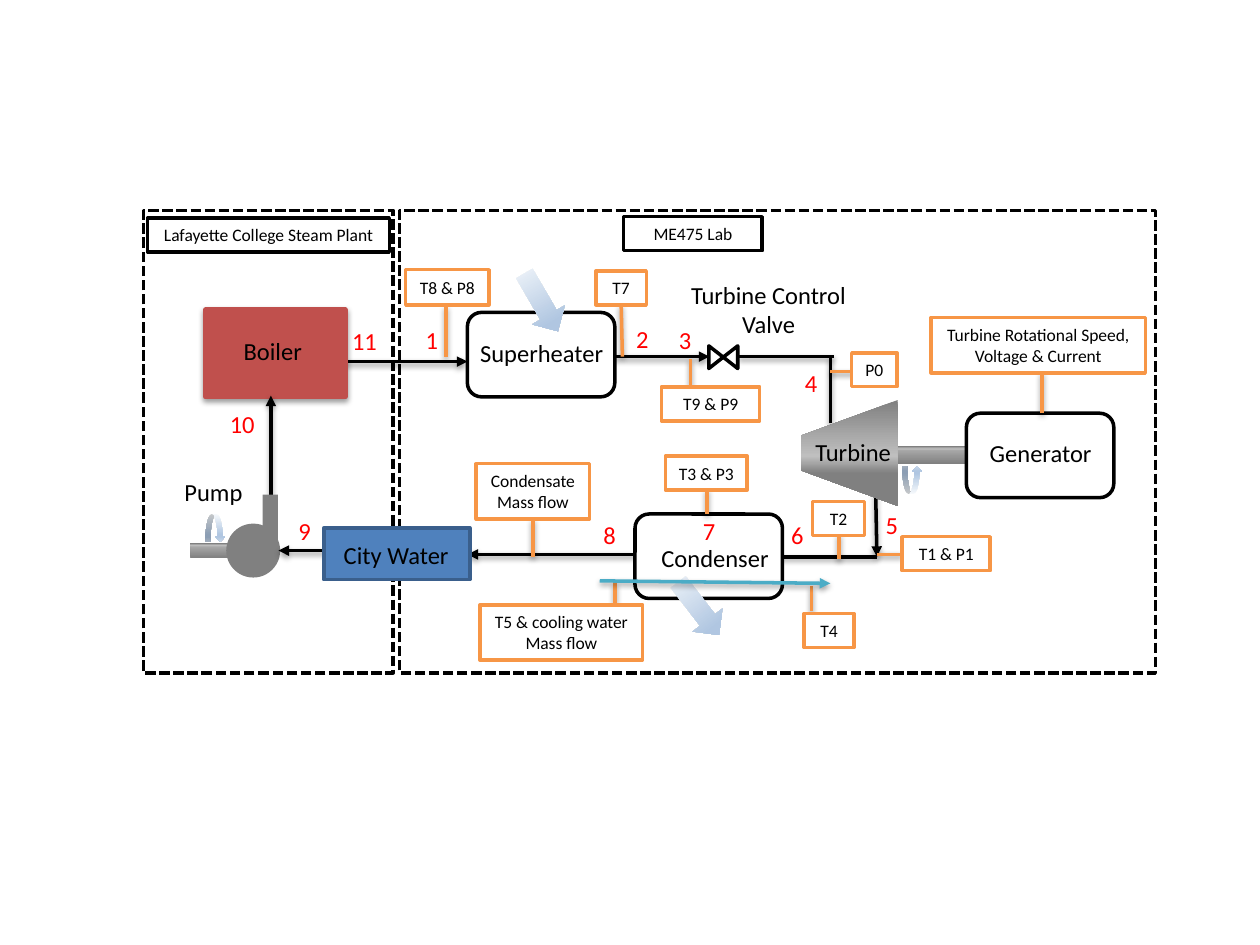
"""Build a one-slide schematic of a steam power plant with its sensors."""
from lxml import etree
from pptx import Presentation
from pptx.dml.color import RGBColor
from pptx.enum.dml import MSO_LINE
from pptx.enum.shapes import MSO_CONNECTOR, MSO_SHAPE
from pptx.enum.text import MSO_ANCHOR, PP_ALIGN
from pptx.oxml import parse_xml
from pptx.oxml.ns import qn
from pptx.util import Inches, Pt

COLORS = {"black": "000000", "white": "FFFFFF", "sensor": "F79646", "state": "FF0000",
          "coolant": "4BACC6", "boiler": "C0504D", "water": "4F81BD",
          "water_edge": "3A5F8C", "steel": "808080"}
SHAFT = ([(0, "808080"), (74, "A6A6A6"), (83, "BFBFBF"), (100, "808080")], 90)
CASING = ([(0, "808080"), (53, "BFBFBF"), (69, "808080"), (100, "808080")], 180)
ICE = [(0, "F6F9FC"), (74, "B0C6E1"), (83, "B0C6E1"), (100, "CAD9EB")]
HEAT, SPIN = (ICE, 0), (ICE, 90)
SHADOW = (
    '<a:effectLst xmlns:a="http://schemas.openxmlformats.org/drawingml/2006/main">'
    '<a:outerShdw blurRad="40000" dist="20000" dir="5400000" rotWithShape="0">'
    '<a:srgbClr val="000000"><a:alpha val="38000"/></a:srgbClr>'
    '</a:outerShdw></a:effectLst>')

prs = Presentation()
prs.slide_width, prs.slide_height = Inches(10), Inches(7.5)
slide = prs.slides.add_slide(prs.slide_layouts[6])


def add_part(at, kind=None, fill=None, edge=None, text="", size=10,
             color="black", align=PP_ALIGN.CENTER, rotation=0, weight=2):
    """Add a preset shape, or a text box when no kind is given."""
    frame = [Inches(value) for value in at]
    if kind is None:
        part = slide.shapes.add_textbox(*frame)
    else:
        part = slide.shapes.add_shape(kind, *frame)
        part.shadow.inherit = False
        part.rotation = rotation
        if isinstance(fill, tuple):
            stops, angle = fill
            part.fill.gradient()
            gradient = part._element.spPr.find(qn("a:gradFill"))
            stop_list = gradient.find(qn("a:gsLst"))
            for old_stop in list(stop_list):
                stop_list.remove(old_stop)
            for position, tint in stops:
                stop = etree.SubElement(stop_list, qn("a:gs"), pos=str(position * 1000))
                etree.SubElement(stop, qn("a:srgbClr"), val=tint)
            gradient.find(qn("a:lin")).set("ang", str(angle * 60000))
        elif fill:
            part.fill.solid()
            part.fill.fore_color.rgb = RGBColor.from_string(COLORS[fill])
        else:
            part.fill.background()
        if edge:
            part.line.color.rgb = RGBColor.from_string(COLORS[edge])
            part.line.width = Pt(weight)
        else:
            part.line.fill.background()
    if text:
        part.text_frame.word_wrap = True
        part.text_frame.vertical_anchor = MSO_ANCHOR.MIDDLE if kind else MSO_ANCHOR.TOP
        part.text_frame.text = text
        for paragraph in part.text_frame.paragraphs:
            paragraph.alignment = align
            for run in paragraph.runs:
                for name, value in {"name": "Calibri", "size": Pt(size)}.items():
                    setattr(run.font, name, value)
                run.font.color.rgb = RGBColor.from_string(COLORS[color])
    return part


def add_line(x1, y1, x2, y2, color="black", arrow=False):
    """Add a shadowed straight connector."""
    pipe = slide.shapes.add_connector(
        MSO_CONNECTOR.STRAIGHT, Inches(x1), Inches(y1), Inches(x2), Inches(y2))
    pipe.line.color.rgb = RGBColor.from_string(COLORS[color])
    pipe.line.width = Pt(2)
    if arrow:
        etree.SubElement(pipe.line._get_or_add_ln(), qn("a:tailEnd"), type="triangle")
    pipe._element.spPr.append(parse_xml(SHADOW))


steam_pipes = [
    (2.26, 2.87, 3.71, 2.87, True), (4.18, 2.83, 5.63, 2.83, True),
    (6.95, 3.92, 6.96, 4.42, True), (5.04, 4.4, 3.71, 4.4, True),
    (6.59, 3.36, 6.59, 2.83, False), (6.2, 4.42, 6.96, 4.42, False),
    (5.86, 2.83, 6.62, 2.83, False)]
for *ends, arrow in steam_pipes:
    add_line(*ends, arrow=arrow)

add_part((6.82, 3.54, 0.86, 0.14), MSO_SHAPE.RECTANGLE, SHAFT, rotation=180)
for left, top in [(3.71, 2.48), (5.04, 4.08), (7.67, 3.28)]:
    add_part((left, top, 1.17, 0.67), MSO_SHAPE.ROUNDED_RECTANGLE, "white", "black")
for left, top, rotation in [(4.03, 2.25, 59.8), (5.28, 4.68, 52.3)]:
    add_part((left, top, 0.53, 0.3), MSO_SHAPE.RIGHT_ARROW, HEAT, rotation=rotation)
turbine_spin = add_part((7.16, 3.7, 0.16, 0.22), MSO_SHAPE.CURVED_DOWN_ARROW, SPIN,
                        rotation=180)
turbine_spin._element.spPr.find(qn("a:xfrm")).set("flipH", "1")
turbine = add_part((6.32, 3.21, 0.84, 0.77), MSO_SHAPE.TRAPEZOID, CASING, rotation=270)
turbine.adjustments[0] = 0.368
add_part((5.65, 2.72, 0.18, 0.23), MSO_SHAPE.FLOWCHART_COLLATE, edge="black", rotation=90)

sensor_leads = [
    (3.54, 2.43, 3.54, 2.83), (6.79, 2.95, 6.59, 2.95), (7.16, 4.4, 6.96, 4.4),
    (4.93, 2.42, 4.94, 2.83), (6.66, 4.24, 6.66, 4.44), (4.23, 4.12, 4.23, 4.42),
    (5.61, 3.88, 5.61, 4.08), (6.44, 4.65, 6.44, 4.85), (4.88, 4.63, 4.88, 4.79),
    (5.48, 2.85, 5.48, 3.06), (8.27, 2.95, 8.27, 3.28)]
for lead in sensor_leads:
    add_line(*lead, color="sensor")

sensors = {
    "T4": (6.38, 4.87, 0.4, 0.27), "P0": (6.76, 2.8, 0.36, 0.27),
    "T1 & P1": (7.16, 4.26, 0.7, 0.27), "T2": (6.45, 3.98, 0.41, 0.27),
    "T3 & P3": (5.28, 3.62, 0.65, 0.27), "T7": (4.73, 2.15, 0.4, 0.27),
    "T8 & P8": (3.22, 2.14, 0.66, 0.28), "T9 & P9": (5.25, 3.07, 0.78, 0.27),
    "T5 & cooling water\nMass flow": (3.81, 4.8, 1.29, 0.44),
    "Condensate\nMass flow": (3.78, 3.68, 0.9, 0.44),
    "Turbine Rotational Speed, Voltage & Current": (7.39, 2.52, 1.7, 0.44)}
for reading, at in sensors.items():
    add_part(at, MSO_SHAPE.RECTANGLE, "white", "sensor", reading)
add_line(4.76, 4.61, 6.59, 4.63, "coolant", True)

boiler = add_part((1.63, 2.46, 1.11, 0.69), MSO_SHAPE.RECTANGLE, "boiler", "boiler", weight=3)
boiler._element.spPr.remove(boiler._element.spPr.find(qn("a:effectLst")))
boiler._element.spPr.append(parse_xml(SHADOW))
add_line(2.15, 4.15, 2.15, 3.14, arrow=True)
add_part((1.51, 4.31, 0.47, 0.12), MSO_SHAPE.RECTANGLE, SHAFT, rotation=180)
add_part((1.81, 4.17, 0.4, 0.4), MSO_SHAPE.OVAL, "steel", "steel")
add_part((1.63, 4.08, 0.16, 0.22), MSO_SHAPE.CURVED_DOWN_ARROW, SPIN)
add_part((1.91, 4.1, 0.47, 0.12), MSO_SHAPE.RECTANGLE, "steel", rotation=270)
add_line(2.58, 4.37, 2.21, 4.37, arrow=True)

sites = [("ME475 Lab", (4.95, 1.72, 1.1, 0.27), (3.17, 1.67, 6, 3.67)),
         ("Lafayette College Steam Plant", (1.17, 1.73, 1.92, 0.27), (1.14, 1.67, 1.98, 3.67))]
for site, sign, boundary in sites:
    add_part(sign, MSO_SHAPE.RECTANGLE, "white", "black", site)
    fence = add_part(boundary, MSO_SHAPE.RECTANGLE, edge="black")
    fence.line.dash_style = MSO_LINE.SQUARE_DOT
add_part((2.57, 4.19, 1.16, 0.41), MSO_SHAPE.RECTANGLE, "water", "water_edge")

equipment = [
    ("Superheater", (3.67, 2.63, 1.26, 0.34), PP_ALIGN.CENTER),
    ("Condenser", (5.03, 4.26, 1.17, 0.34), PP_ALIGN.RIGHT),
    ("Turbine", (6, 3.42, 1.17, 0.34), PP_ALIGN.RIGHT),
    ("Turbine Control Valve", (5.37, 2.17, 1.46, 0.57), PP_ALIGN.CENTER),
    ("Generator", (7.63, 3.43, 1.26, 0.34), PP_ALIGN.CENTER),
    ("Boiler", (1.58, 2.62, 1.17, 0.34), PP_ALIGN.CENTER),
    ("Pump", (1.11, 3.74, 1.17, 0.34), PP_ALIGN.CENTER),
    ("City Water", (2.58, 4.24, 1.13, 0.34), PP_ALIGN.CENTER)]
for name, at, align in equipment:
    add_part(at, text=name, size=14, align=align)

state_points = [
    (3.28, 2.53, 0.25), (4.95, 2.52, 0.25), (5.29, 2.53, 0.25), (6.29, 2.87, 0.25),
    (6.93, 4, 0.25), (6.18, 4.08, 0.25), (5.48, 4.05, 0.23), (4.69, 4.08, 0.23),
    (2.27, 4.05, 0.23), (1.71, 3.2, 0.41), (2.68, 2.54, 0.41)]
for number, (left, top, width) in enumerate(state_points, 1):
    add_part((left, top, width, 0.34), text=str(number), size=14, color="state",
             align=PP_ALIGN.RIGHT)

prs.save("out.pptx")
